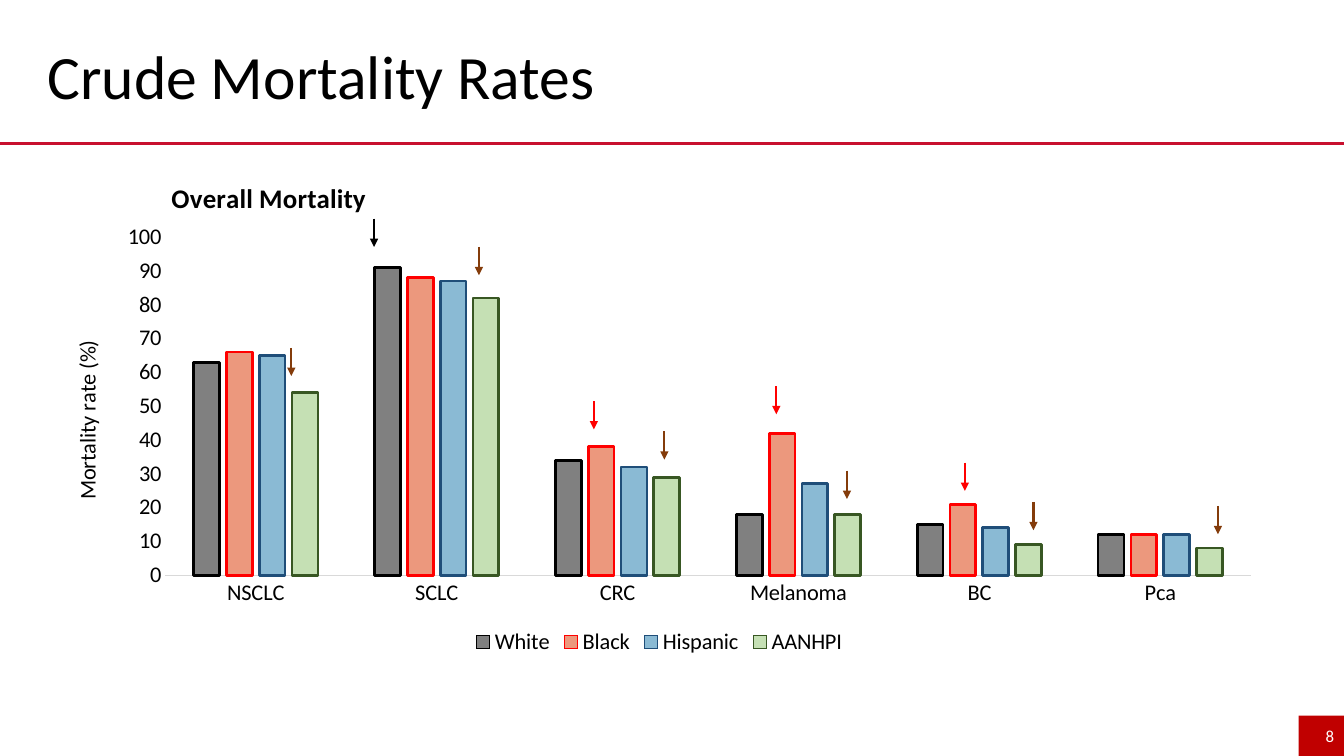
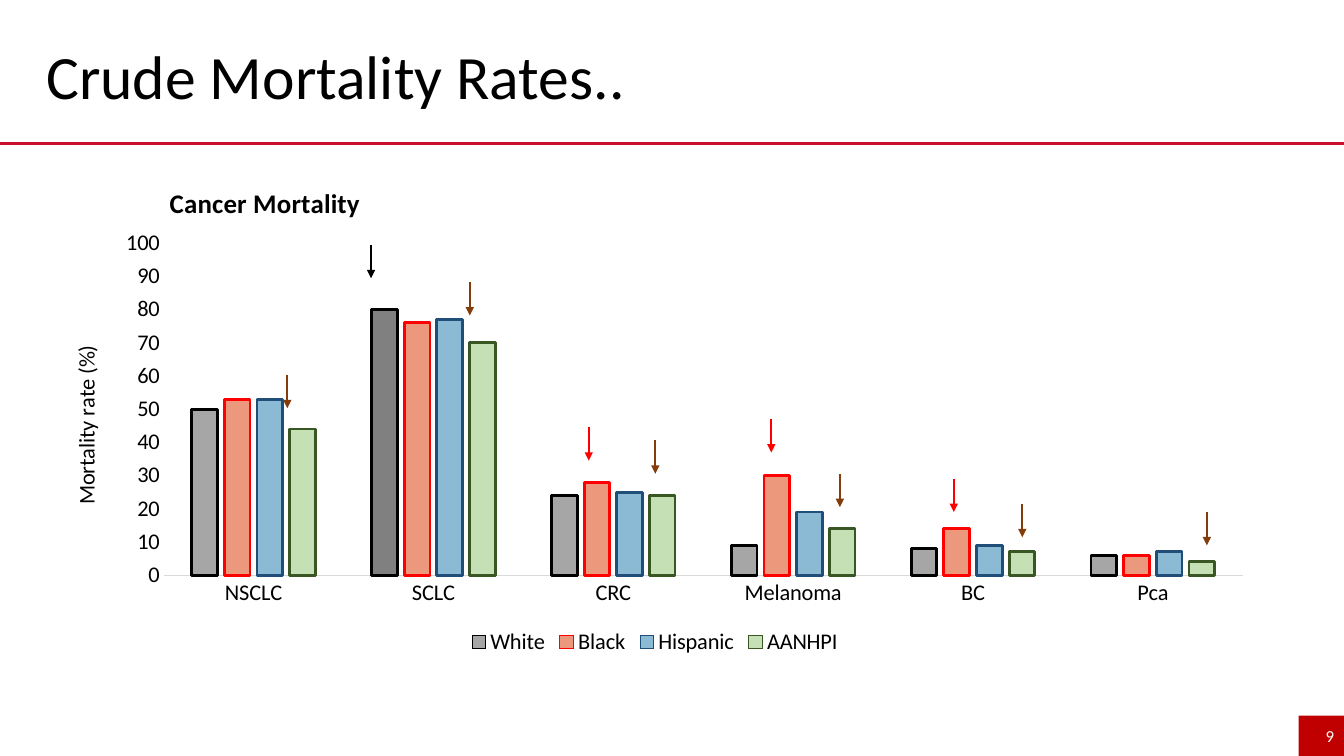
from dataclasses import dataclass

from lxml import etree
from pptx import Presentation
from pptx import util as u
from pptx.chart import data
from pptx.dml import color
from pptx.enum import chart as ch, shapes, text
from pptx.oxml import ns


@dataclass(frozen=True)
class Theme:
    font: str = "Calibri"
    ink: str = "000000"
    white: str = "FFFFFF"
    rule: str = "C8102E"
    badge: str = "C00000"
    axis: str = "D9D9D9"
    red: str = "FF0000"
    brown: str = "843C0B"
    grey: str = "808080"
    light_grey: str = "A6A6A6"
    salmon: str = "EC987D"
    blue: str = "8ABAD4"
    navy: str = "1F4E79"
    pale_green: str = "C5E0B4"
    dark_green: str = "385723"
    title_size: float = 44
    chart_title_size: float = 19.2
    chart_size: float = 16
    number_size: float = 12


THEME = Theme()
WIDTH, HEIGHT = 13.33, 7.5
CANCERS = ["NSCLC", "SCLC", "CRC", "Melanoma", "BC", "Pca"]
GROUPS = {  # fill and outline of each group's bars
    "White": (THEME.grey, THEME.ink),
    "Black": (THEME.salmon, THEME.red),
    "Hispanic": (THEME.blue, THEME.navy),
    "AANHPI": (THEME.pale_green, THEME.dark_green),
}


def rgb(value):
    return color.RGBColor.from_string(value)


def set_layout(element, x, y, w=None, h=None):
    """Fix a chart part's place, in fractions of the chart's size."""
    old = element.find(ns.qn("c:layout"))
    if old is not None:
        element.remove(old)
    layout = etree.Element(ns.qn("c:layout"))
    manual = etree.SubElement(layout, ns.qn("c:manualLayout"))
    settings = {"xMode": "edge", "yMode": "edge", "x": x, "y": y}
    if w is not None:
        settings = {"layoutTarget": "inner", **settings, "w": w, "h": h}
    for tag, value in settings.items():
        etree.SubElement(manual, ns.qn(f"c:{tag}"), val=str(value))
    element.insert(0 if element.find(ns.qn("c:tx")) is None else 1, layout)


class Deck:
    def __init__(self, theme):
        self.theme = theme
        self.prs = Presentation()
        self.prs.slide_width = u.Inches(WIDTH)
        self.prs.slide_height = u.Inches(HEIGHT)
        self.slide = None

    def add_slide(self, title, number, title_left):
        self.slide = self.prs.slides.add_slide(self.prs.slide_layouts[5])
        self.line((0, 1.42), (WIDTH, 1.42), self.theme.rule, 2.25)
        self.title(title, title_left)
        self.page_number(number)

    def style(self, font, size, ink=None, bold=False):
        font.name = self.theme.font
        font.size = u.Pt(size)
        font.bold = bold
        font.color.rgb = rgb(ink or self.theme.ink)

    def title(self, words, left):
        heading = self.slide.shapes.title
        heading.left, heading.top = u.Inches(left), u.Inches(0.32)
        heading.width, heading.height = u.Inches(12.33), u.Inches(0.93)
        frame = heading.text_frame
        frame.text = words
        frame.auto_size = text.MSO_AUTO_SIZE.NONE
        frame.vertical_anchor = text.MSO_ANCHOR.MIDDLE
        paragraph = frame.paragraphs[0]
        paragraph.alignment = text.PP_ALIGN.LEFT
        paragraph.line_spacing = 0.9
        self.style(paragraph.font, self.theme.title_size)

    def page_number(self, number):
        badge = self.slide.shapes.add_shape(
            shapes.MSO_SHAPE.RECTANGLE, u.Inches(12.88), u.Inches(7.1),
            u.Inches(WIDTH - 12.88), u.Inches(HEIGHT - 7.1))
        badge.shadow.inherit = False
        badge.fill.solid()
        badge.fill.fore_color.rgb = rgb(self.theme.badge)
        badge.line.fill.background()
        badge.text_frame.text = str(number)
        badge.text_frame.vertical_anchor = text.MSO_ANCHOR.MIDDLE
        paragraph = badge.text_frame.paragraphs[0]
        paragraph.alignment = text.PP_ALIGN.RIGHT
        self.style(paragraph.font, self.theme.number_size, self.theme.white)

    def line(self, start, end, ink, weight, arrow=False):
        connector = self.slide.shapes.add_connector(
            shapes.MSO_CONNECTOR.STRAIGHT, *map(u.Inches, start + end))
        connector.line.color.rgb = rgb(ink)
        connector.line.width = u.Pt(weight)
        properties = connector.element.spPr
        if arrow:
            etree.SubElement(properties.find(ns.qn("a:ln")),
                             ns.qn("a:tailEnd"), type="triangle")
        etree.SubElement(properties, ns.qn("a:effectLst"))

    def arrows(self, ink, length, starts):
        for x, y in starts:
            self.line((x, y), (x, y + length), ink, 1.5, arrow=True)

    def paint_bar(self, bar, fill, outline):
        bar.format.fill.solid()
        bar.format.fill.fore_color.rgb = rgb(fill)
        bar.format.line.color.rgb = rgb(outline)
        bar.format.line.width = u.Pt(2)

    def chart_label(self, holder, words, size, x, y, bold=False):
        holder.text_frame.text = words
        self.style(holder.text_frame.paragraphs[0].font, size, bold=bold)
        set_layout(holder.element, x, y)

    def mortality_chart(self, heading, rates, left, width, plot_top,
                        label_drop=0.0, fills=None, point_fills=None):
        """Draw the bars; fills and point_fills override the group colours."""
        fills, point_fills = fills or {}, point_fills or {}
        chart_data = data.CategoryChartData()
        chart_data.categories = CANCERS
        for group, values in zip(GROUPS, rates):
            chart_data.add_series(group, values)
        chart = self.slide.shapes.add_chart(
            ch.XL_CHART_TYPE.COLUMN_CLUSTERED, u.Inches(left), u.Inches(1.53),
            u.Inches(width), u.Inches(5.02), chart_data).chart
        self.style(chart.font, self.theme.chart_size)

        plot = chart.plots[0]
        plot.gap_width, plot.overlap = 219, -27
        plot.vary_by_categories = False
        for series in plot.series:
            fill, outline = GROUPS[series.name]
            self.paint_bar(series, fills.get(series.name, fill), outline)
            for index, point_fill in point_fills.get(series.name, {}).items():
                self.paint_bar(series.points[index], point_fill, outline)

        cancers, rate = chart.category_axis, chart.value_axis
        for axis in (cancers, rate):
            axis.major_tick_mark = axis.minor_tick_mark = ch.XL_TICK_MARK.NONE
            axis.has_major_gridlines = False
            self.style(axis.tick_labels.font, self.theme.chart_size)
        cancers.format.line.color.rgb = rgb(self.theme.axis)
        cancers.format.line.width = u.Pt(0.75)
        rate.format.line.fill.background()
        rate.minimum_scale, rate.maximum_scale, rate.major_unit = 0, 100, 10

        self.chart_label(chart.chart_title, heading,
                         self.theme.chart_title_size,
                         0.1, 0.04 + label_drop, bold=True)
        self.chart_label(rate.axis_title, "Mortality rate (%)",
                         self.theme.chart_size, 0.02, 0.36 + label_drop)
        body = rate.axis_title.element.find(".//" + ns.qn("a:bodyPr"))
        body.set("rot", "-5400000")
        body.set("vert", "horz")

        chart.has_legend = True
        chart.legend.position = ch.XL_LEGEND_POSITION.BOTTOM
        chart.legend.include_in_layout = False
        self.style(chart.legend.font, self.theme.chart_size)
        set_layout(chart.element.chart.plotArea,
                   0.099, plot_top, 0.881, 0.832 - plot_top)


def main():
    deck = Deck(THEME)

    deck.add_slide("Crude Mortality Rates", 8, title_left=0.37)
    deck.mortality_chart(
        "Overall Mortality",
        [(63, 91, 34, 18, 15, 12),
         (66, 88, 38, 42, 21, 12),
         (65, 87, 32, 27, 14, 12),
         (54, 82, 29, 18, 9, 8)],
        left=0.43, width=12.22, plot_top=0.164)
    deck.arrows(THEME.brown, 0.28, [
        (2.89, 3.45), (4.75, 2.45), (6.59, 4.28),
        (8.4, 4.67), (10.25, 4.98), (12.08, 5.02)])
    deck.arrows(THEME.red, 0.28, [(5.89, 3.98), (7.7, 3.83), (9.57, 4.59)])
    deck.arrows(THEME.ink, 0.28, [(3.71, 2.17)])

    deck.add_slide("Crude Mortality Rates..", 9, title_left=0.36)
    deck.mortality_chart(
        "Cancer Mortality",
        [(50, 80, 24, 9, 8, 6),
         (53, 76, 28, 30, 14, 6),
         (53, 77, 25, 19, 9, 7),
         (44, 70, 24, 14, 7, 4)],
        left=0.42, width=12.15, plot_top=0.176, label_drop=0.01,
        fills={"White": THEME.light_grey},
        point_fills={"White": {1: THEME.grey}})
    deck.arrows(THEME.brown, 0.33, [
        (2.85, 3.72), (4.66, 2.8), (6.5, 4.37),
        (8.33, 4.7), (10.14, 5), (11.97, 5.08)])
    deck.arrows(THEME.red, 0.33, [(5.84, 4.24), (7.65, 4.16), (9.46, 4.75)])
    deck.arrows(THEME.ink, 0.33, [(3.68, 2.43)])

    deck.prs.save("out.pptx")


if __name__ == "__main__":
    main()
